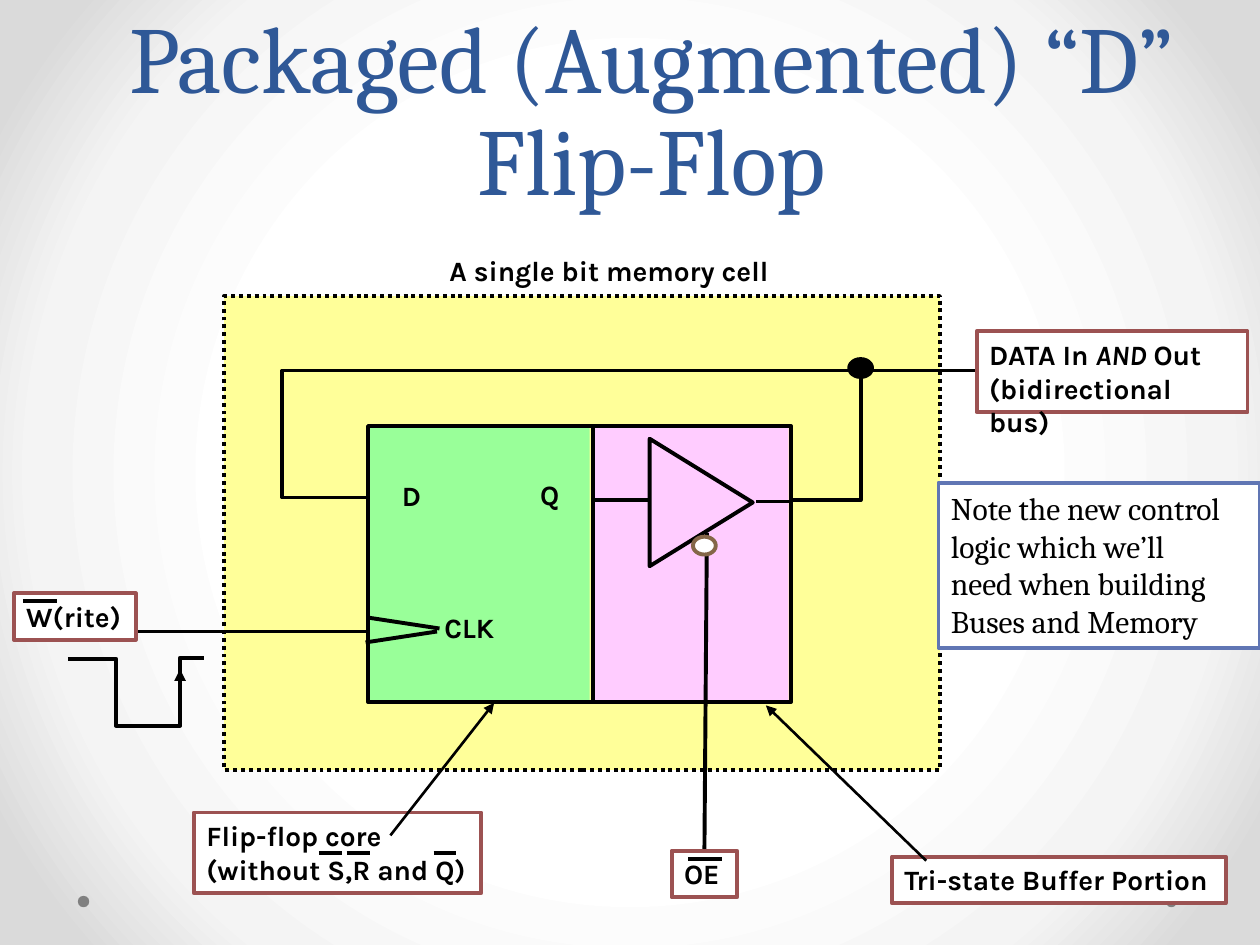
from lxml import etree
from pptx import Presentation
from pptx.dml.color import RGBColor
from pptx.enum.dml import MSO_LINE
from pptx.enum.shapes import MSO_CONNECTOR, MSO_SHAPE
from pptx.enum.text import MSO_ANCHOR, MSO_AUTO_SIZE, PP_ALIGN
from pptx.oxml import parse_xml
from pptx.oxml.ns import nsdecls, qn
from pptx.util import Cm, Pt

RECT, OVAL = MSO_SHAPE.RECTANGLE, MSO_SHAPE.OVAL
TRIANGLE = MSO_SHAPE.ISOSCELES_TRIANGLE
STRAIGHT = MSO_CONNECTOR.STRAIGHT
DOTTED = MSO_LINE.ROUND_DOT
BOTTOM, TOP = MSO_ANCHOR.BOTTOM, MSO_ANCHOR.TOP
LEFT, CENTER = PP_ALIGN.LEFT, PP_ALIGN.CENTER
NO_AUTOFIT = MSO_AUTO_SIZE.NONE
BLACK, WHITE, MAROON = "000000", "FFFFFF", "9C5252"


def paint(shape, fill=None, line=None):
    """Set fill and outline from hex strings; None leaves that part empty."""
    shape.shadow.inherit = False
    for color, target in ((fill, shape.fill), (line, shape.line.fill)):
        if color:
            target.solid()
            target.fore_color.rgb = RGBColor.from_string(color)
        else:
            target.background()
    if line:
        shape.line.width = Pt(2.25)


def connect(x1, y1, x2, y2, width=2.25, arrow=False):
    line = shapes.add_connector(STRAIGHT, Cm(x1), Cm(y1), Cm(x2), Cm(y2))
    line.line.width = Pt(width)
    line.line.color.rgb = RGBColor.from_string(BLACK)
    if arrow:
        etree.SubElement(line.line._get_or_add_ln(), qn("a:tailEnd"), type="triangle")
    etree.SubElement(line._element.spPr, qn("a:effectLst"))


prs = Presentation()
prs.slide_width, prs.slide_height = Cm(25.4), Cm(19.05)
slide = prs.slides.add_slide(prs.slide_layouts[5])
shapes = slide.shapes

# Radial background
slide.background.fill.solid()
solid = slide.background._cSld.find(".//" + qn("a:solidFill"))
stops = "".join(
    f'<a:gs pos="{percent * 1000}"><a:srgbClr val="{color}"/></a:gs>'
    for percent, color in ((50, WHITE), (76, "F4F4F4"), (92, "DADADA")))
solid.getparent().replace(solid, parse_xml(
    f'<a:gradFill {nsdecls("a")} rotWithShape="1"><a:gsLst>{stops}</a:gsLst>'
    '<a:path path="circle"><a:fillToRect l="50000" t="50000" r="50000" b="50000"/>'
    "</a:path></a:gradFill>"))

# Title
title = shapes.title
title.left, title.top, title.width, title.height = Cm(1.07), Cm(1.93), Cm(24.13), Cm(2.51)
title.text_frame.text = "Packaged (Augmented) “D” Flip-Flop"
title.text_frame.auto_size = NO_AUTOFIT
title.text_frame.vertical_anchor = BOTTOM
heading = title.text_frame.paragraphs[0]
heading.alignment = CENTER
heading.line_spacing = Pt(58)
heading.font.size, heading.font.name = Pt(54), "Cambria"
heading.font.color.rgb = RGBColor.from_string("2F5897")

# Footer dots, memory cell, flip-flop core, tri-state buffer
for kind, x, y, w, h, fill, outline in (
    (OVAL, 23.5, 18.06, 0.23, 0.23, "808080", None),
    (OVAL, 1.57, 18.06, 0.23, 0.23, "808080", None),
    (RECT, 4.52, 5.97, 14.43, 9.55, "FFFF99", BLACK),
    (RECT, 7.44, 8.59, 4.45, 5.54, "99FF99", None),
    (RECT, 11.99, 8.59, 3.91, 5.56, "FFCCFF", None),
    (RECT, 7.42, 8.59, 8.53, 5.56, None, BLACK),
    (TRIANGLE, 12.85, 9.09, 2.57, 2.08, None, BLACK),
):
    block = shapes.add_shape(kind, Cm(x), Cm(y), Cm(w), Cm(h))
    paint(block, fill, outline)
    if fill == "FFFF99":
        block.line.dash_style = DOTTED
    if kind == TRIANGLE:
        block.rotation = 90

# Wires
for ends in (
    (7.42, 12.45, 8.86, 12.67),    # clock wedge
    (7.37, 12.95, 8.81, 12.73),
    (11.96, 8.59, 11.96, 14.12),   # core / buffer divider
    (11.96, 10.08, 13.13, 10.08),  # Q to buffer
    (15.24, 10.11, 15.98, 10.11),  # buffer output
    (14.25, 10.74, 14.2, 17.17),   # output enable
    (7.37, 12.73, 1.73, 12.73),    # write
):
    connect(*ends)

data_bus = [(7.42, 10.03), (5.69, 10.03), (5.69, 7.47), (18.39, 7.47), (21.79, 7.47)]
feedback = [(15.95, 10.08), (17.35, 10.08), (17.35, 7.42)]
write_pulse = [(1.37, 13.28), (2.34, 13.28), (2.34, 14.63),
               (3.63, 14.63), (3.63, 13.26), (4.11, 13.26)]
for route in (data_bus, feedback, write_pulse):
    corners = [(Cm(x), Cm(y)) for x, y in route]
    builder = shapes.build_freeform(*corners[0])
    builder.add_line_segments(corners[1:], close=False)
    paint(builder.convert_to_shape(), line=BLACK)
connect(3.63, 14.48, 3.63, 13.49, arrow=True)

# Bus junction and inverting bubble
for x, y, fill, outline in ((17.12, 7.24, BLACK, BLACK), (13.97, 10.82, WHITE, "846648")):
    paint(shapes.add_shape(OVAL, Cm(x), Cm(y), Cm(0.46), Cm(0.36)), fill, outline)

# Labels (no outline) and callouts; asterisks enclose italics
for x, y, w, h, outline, font, size, lines in (
    (7.85, 9.53, 0.91, 0.94, None, "Karla", 16, ["D"]),
    (8.71, 12.19, 1.68, 0.94, None, "Karla", 16, ["CLK"]),
    (10.64, 9.5, 0.97, 0.94, None, "Karla", 16, ["Q"]),
    (8.81, 4.98, 7.01, 0.94, None, "Karla", 16, ["A single bit memory cell"]),
    (0.28, 11.96, 2.46, 0.94, MAROON, "Karla", 16, ["W(rite)"]),
    (13.54, 17.15, 1.32, 0.94, MAROON, "Karla", 16, ["OE"]),
    (19.69, 6.68, 5.46, 1.63, MAROON, "Karla", 16,
     ["DATA In *AND* Out", "(bidirectional bus)"]),
    (3.91, 16.38, 5.79, 1.63, MAROON, "Karla", 16,
     ["Flip-flop core", "(without S,R and Q)"]),
    (17.98, 17.27, 6.73, 0.94, MAROON, "Karla", 16, ["Tri-state Buffer Portion"]),
    (18.92, 9.73, 6.48, 3.33, "6076B4", "Cambria", 18,
     ["Note the new control logic which we’ll", "need when building Buses and Memory"]),
):
    area = Cm(x), Cm(y), Cm(w), Cm(h)
    if outline:
        callout = shapes.add_shape(RECT, *area)
        paint(callout, WHITE, outline)
    else:
        callout = shapes.add_textbox(*area)
    frame = callout.text_frame
    frame.word_wrap = bool(outline)
    frame.auto_size = NO_AUTOFIT
    frame.vertical_anchor = TOP
    for number, line in enumerate(lines):
        paragraph = frame.add_paragraph() if number else frame.paragraphs[0]
        paragraph.alignment = LEFT
        paragraph.font.name, paragraph.font.size = font, Pt(size)
        paragraph.font.bold = font == "Karla"
        paragraph.font.color.rgb = RGBColor.from_string(BLACK)
        for part, words in enumerate(line.split("*")):
            run = paragraph.add_run()
            run.text = words
            if part % 2:
                run.font.italic = True

# Pointers from callouts to the two halves
connect(7.87, 16.84, 9.96, 14.17, 1.5, arrow=True)
connect(18.67, 17.35, 15.44, 14.22, 1.5, arrow=True)

# Overbars for W, S, R, Q and OE
for x, y, length in ((0.46, 12.12, 0.68), (6.43, 17.2, 0.46), (6.99, 17.2, 0.46),
                     (8.74, 17.2, 0.46), (13.87, 17.32, 0.68)):
    connect(x, y, x + length, y)

prs.save("out.pptx")
